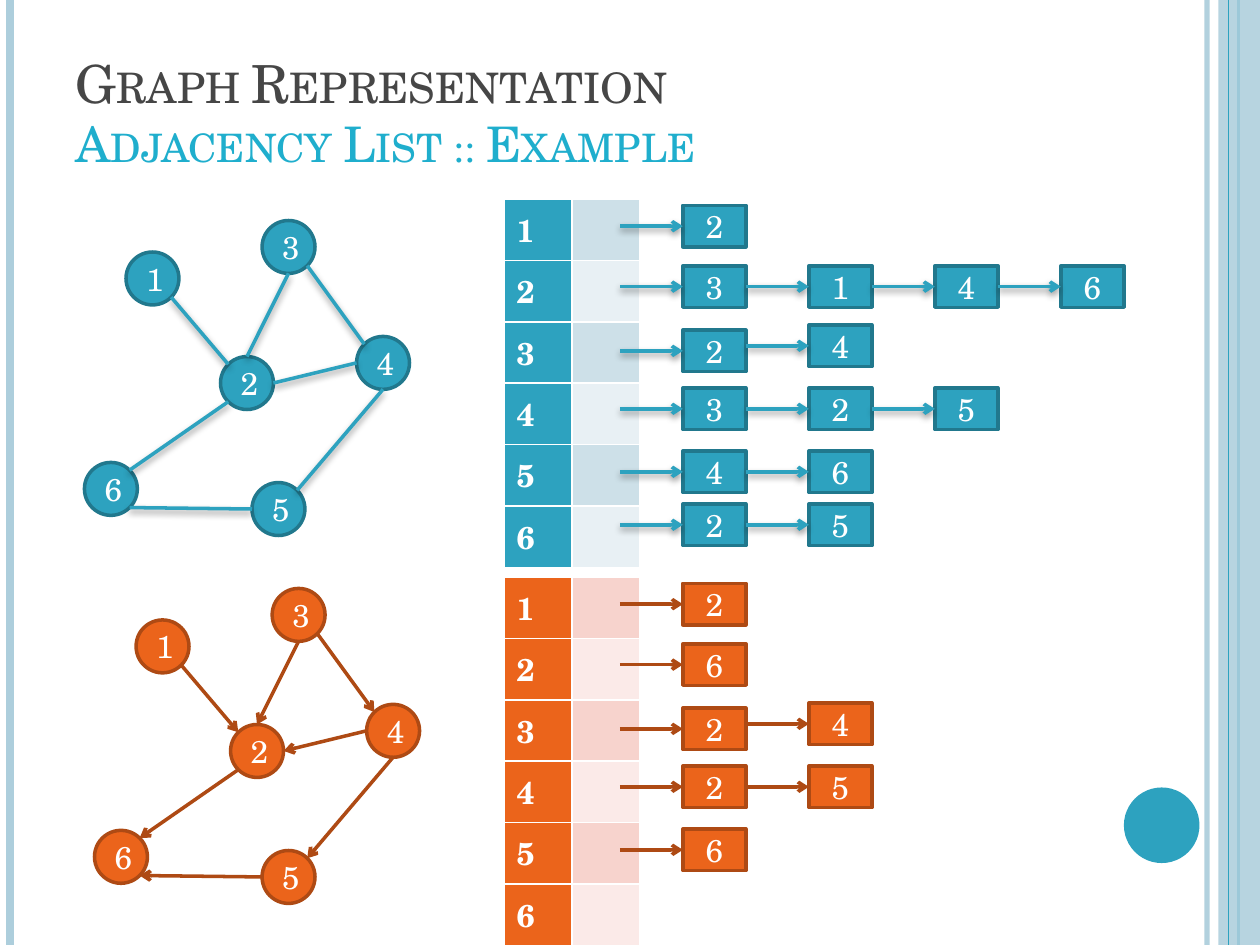
from math import cos, radians, sin

from pptx import Presentation
from pptx.dml.color import RGBColor
from pptx.enum.shapes import MSO_CONNECTOR as Connector, MSO_SHAPE as Shape
from pptx.enum.text import MSO_ANCHOR as Anchor, MSO_AUTO_SIZE as AutoSize, PP_ALIGN as Align
from pptx.oxml import parse_xml
from pptx.oxml.ns import nsdecls, qn
from pptx.oxml.xmlchemy import OxmlElement
from pptx.util import Inches, Pt

FONT = "TeX Gyre Schola"
BLUE, PALE_BLUE, WHITE = "2DA2BF", "ADCEDC", "FFFFFF"
DIAMETER = 0.42
BOX_WIDTH, BOX_HEIGHT = 0.5, 0.33
NODES = {1: (1, 2), 2: (1.75, 2.83), 3: (2.08, 1.75),
         4: (2.83, 2.67), 5: (2, 3.83), 6: (0.67, 3.67)}
RIGHT, LOWER_RIGHT, BOTTOM, LOWER_LEFT, LEFT, UPPER_LEFT, TOP, UPPER_RIGHT = range(0, 360, 45)
EDGES = [(1, LOWER_RIGHT, 2, UPPER_LEFT), (3, BOTTOM, 2, TOP),
         (2, LOWER_LEFT, 6, UPPER_RIGHT), (4, LEFT, 2, RIGHT),
         (3, LOWER_RIGHT, 4, UPPER_LEFT), (5, LEFT, 6, LOWER_RIGHT),
         (4, BOTTOM, 5, UPPER_RIGHT)]
LIST_TOPS = [1.63, 2.11, 2.62, 3.08, 3.58, 4]
RAISED_BOX_TOPS = {(2, 1): 2.58}

UNDIRECTED = {
    "fill": BLUE, "outline": "21788D", "edge": BLUE, "bands": ("CDE0E8", "E8F0F4"),
    "directed": False, "shadow": True, "graph_shift": (0, 0), "list_shift": 0,
    "lists": [[2], [3, 1, 4, 6], [2, 4], [3, 2, 5], [4, 6], [2, 5]],
}
DIRECTED = {
    "fill": "EB641B", "outline": "AE4A14", "edge": "AE4A14", "bands": ("F7D3CD", "FBEAE8"),
    "directed": True, "shadow": False, "graph_shift": (0.08, 2.92), "list_shift": 3,
    "lists": [[2], [6], [2, 4], [2, 5], [6], []],
}


def color(value):
    return RGBColor.from_string(value)


def set_opacity(shape, percent):
    for element in shape._element.iter(qn("a:srgbClr")):
        alpha = OxmlElement("a:alpha")
        alpha.set("val", str(percent * 1000))
        element.append(alpha)


class Slide:
    def __init__(self, presentation):
        self.slide = presentation.slides.add_slide(presentation.slide_layouts[5])
        self.shapes = self.slide.shapes

    def title(self, lines):
        shape = self.shapes.title
        shape.left, shape.top = Inches(0.5), Inches(0.17)
        shape.width, shape.height = Inches(8.17), Inches(1.25)
        frame = shape.text_frame
        frame.vertical_anchor = Anchor.BOTTOM
        frame.auto_size = AutoSize.NONE
        paragraph = frame.paragraphs[0]
        paragraph.alignment = Align.LEFT
        paragraph.font.name = FONT
        for index, (text, size, text_color) in enumerate(lines):
            if index:
                paragraph.add_line_break()
            run = paragraph.add_run()
            run.text = text
            run.font.name = FONT
            run.font.size = Pt(size)
            run.font.color.rgb = color(text_color)
            run._r.get_or_add_rPr().set("cap", "small")

    def shape(self, kind, left, top, width, height, fill, outline=None, label=None):
        shape = self.shapes.add_shape(kind, Inches(left), Inches(top), Inches(width), Inches(height))
        shape.shadow.inherit = False
        shape.fill.solid()
        shape.fill.fore_color.rgb = color(fill)
        if outline:
            shape.line.color.rgb = color(outline)
            shape.line.width = Pt(2)
        else:
            shape.line.fill.background()
        if label:
            shape.text_frame.vertical_anchor = Anchor.MIDDLE
            paragraph = shape.text_frame.paragraphs[0]
            paragraph.text = str(label)
            paragraph.alignment = Align.CENTER
            self.format_font(paragraph.font)
        return shape

    def format_font(self, font):
        font.name = FONT
        font.size = Pt(18)
        font.color.rgb = color(WHITE)

    def line(self, start, end, line_color, width=2, arrow=False, shadow=False):
        line = self.shapes.add_connector(Connector.STRAIGHT, *map(Inches, (*start, *end)))
        line.line.color.rgb = color(line_color)
        line.line.width = Pt(width)
        if arrow:
            tail = OxmlElement("a:tailEnd")
            tail.set("type", "arrow")
            line.line._get_or_add_ln().append(tail)
        effect = ('<a:outerShdw blurRad="50800" dist="25400" dir="5400000" rotWithShape="0">'
                  '<a:srgbClr val="000000"><a:alpha val="40000"/></a:srgbClr></a:outerShdw>')
        line._element.spPr.append(parse_xml(
            f'<a:effectLst {nsdecls("a")}>{effect if shadow else ""}</a:effectLst>'))
        return line

    def background(self):
        for x, line_color, width, opacity in [(9.58, PALE_BLUE, 3, 93), (0.08, PALE_BLUE, 4.5, 100),
                                              (9.83, BLUE, 1.5, 100)]:
            set_opacity(self.line((x, 0), (x, 7.5), line_color, width), opacity)
        set_opacity(self.shape(Shape.RECTANGLE, 9.67, 0, 0.33, 7.5, PALE_BLUE), 87)
        self.line((9.75, 0), (9.75, 7.5), BLUE, 0.75)
        self.shape(Shape.OVAL, 8.92, 6.25, 0.6, 0.6, BLUE)

    def graph(self, style):
        shift_x, shift_y = style["graph_shift"]
        radius = DIAMETER / 2

        def rim_point(node, angle):
            x, y = NODES[node]
            return (x + shift_x + radius + radius * cos(radians(angle)),
                    y + shift_y + radius + radius * sin(radians(angle)))

        for node, (x, y) in NODES.items():
            self.shape(Shape.OVAL, x + shift_x, y + shift_y, DIAMETER, DIAMETER,
                       style["fill"], style["outline"], node)
        for source, exit_angle, target, entry_angle in EDGES:
            self.line(rim_point(source, exit_angle), rim_point(target, entry_angle),
                      style["edge"], arrow=style["directed"], shadow=style["shadow"])

    def vertex_table(self, style):
        table = self.shapes.add_table(6, 2, Inches(4), Inches(1.58 + style["list_shift"]),
                                      Inches(1.08), Inches(2.83)).table
        for row in range(6):
            label, pointer = table.cell(row, 0), table.cell(row, 1)
            paragraph = label.text_frame.paragraphs[0]
            paragraph.text = str(row + 1)
            self.format_font(paragraph.font)
            paragraph.font.bold = True
            for cell, fill in [(label, style["fill"]), (pointer, style["bands"][row % 2])]:
                cell.fill.solid()
                cell.fill.fore_color.rgb = color(fill)
                self.cell_borders(cell)

    def cell_borders(self, cell):
        properties = cell._tc.get_or_add_tcPr()
        for index, side in enumerate(["lnL", "lnR", "lnT", "lnB"]):
            properties.insert(index, parse_xml(
                f'<a:{side} {nsdecls("a")} w="12700"><a:solidFill>'
                f'<a:srgbClr val="{WHITE}"/></a:solidFill></a:{side}>'))

    def adjacency_lists(self, style):
        for row, neighbours in enumerate(style["lists"]):
            for column, neighbour in enumerate(neighbours):
                left = 5.42 + column
                top = RAISED_BOX_TOPS.get((row, column), LIST_TOPS[row]) + style["list_shift"]
                middle = top + BOX_HEIGHT / 2
                self.shape(Shape.RECTANGLE, left, top, BOX_WIDTH, BOX_HEIGHT,
                           style["fill"], style["outline"], neighbour)
                self.line((left - 0.5, middle), (left, middle), style["edge"],
                          arrow=True, shadow=style["shadow"])


def main():
    presentation = Presentation()
    presentation.slide_width, presentation.slide_height = Inches(10), Inches(7.5)
    slide = Slide(presentation)
    slide.background()
    slide.title([("Graph Representation", 30, "464646"),
                 ("Adjacency List :: Example", 28, "1FAECD")])
    for style in (UNDIRECTED, DIRECTED):
        slide.graph(style)
        slide.vertex_table(style)
        slide.adjacency_lists(style)
    presentation.save("out.pptx")


if __name__ == "__main__":
    main()
